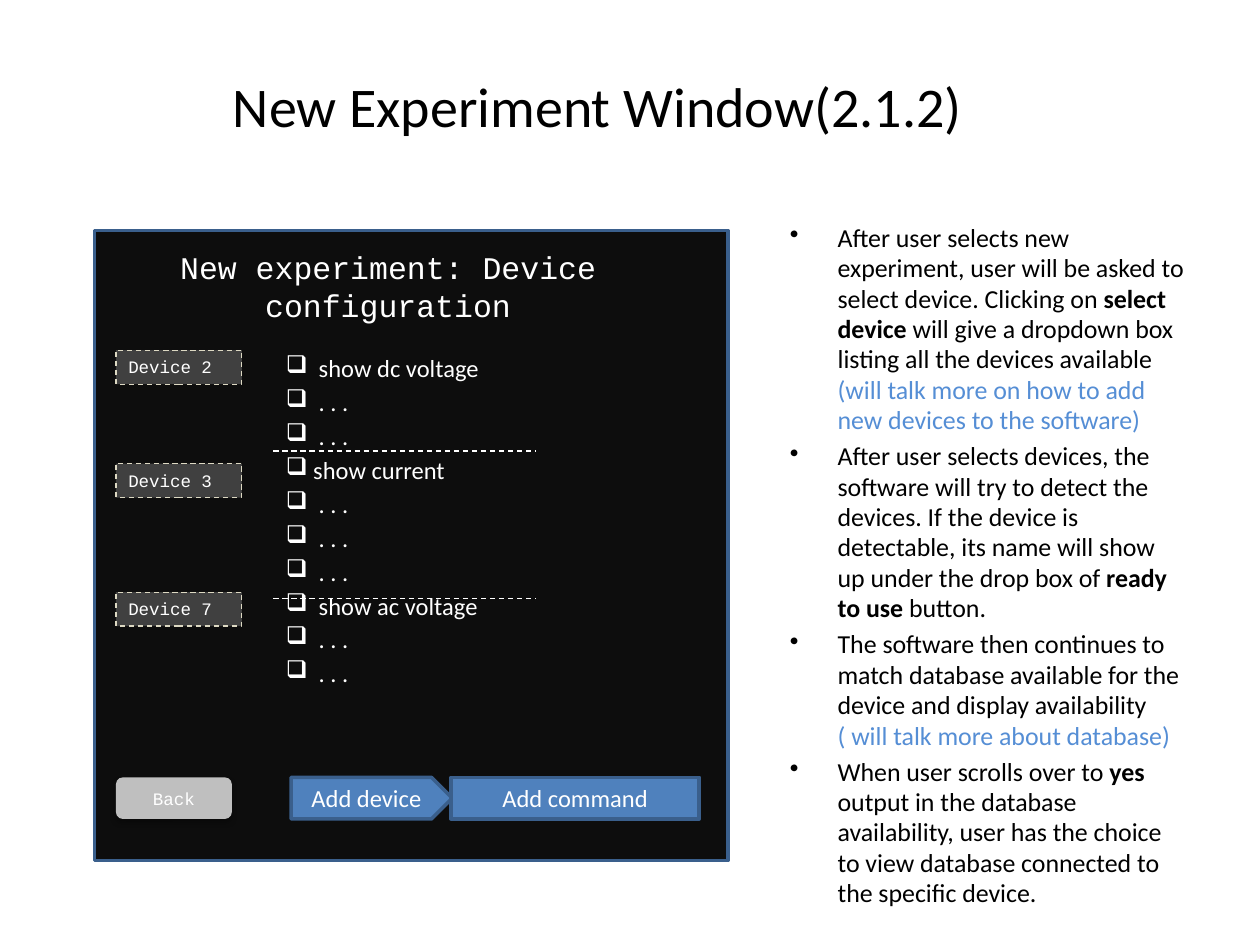
from pptx import Presentation
from pptx.dml.color import RGBColor
from pptx.enum.dml import MSO_LINE
from pptx.enum.shapes import MSO_CONNECTOR, MSO_SHAPE
from pptx.enum.text import MSO_ANCHOR, PP_ALIGN
from pptx.oxml import parse_xml
from pptx.oxml.ns import nsdecls
from pptx.util import Inches, Pt

COLORS = dict(black="000000", white="FFFFFF", screen="0D0D0D", edge="3A5F8C", device="404040",
              dash="DDD9C3", back="BFBFBF", button="4F81BD", aside="558ED5")
SANS, MONO = "Calibri", "Courier New"

TITLE = "New Experiment Window(2.1.2)"
HEADING = "New experiment: Device configuration"
NOTES = [
    [("After user selects new experiment, user will be asked to select device. Clicking on ", ""),
     ("select device ", "bold"),
     ("will give a dropdown box listing all the devices available ", ""),
     ("(will talk more on how to add new devices to the software) ", "aside")],
    [("After user selects devices, the software will try to detect the devices. If the device is "
      "detectable, its name will show up under the drop box of ", ""),
     ("ready to use ", "bold"),
     ("button.", "")],
    [("The software then continues to match database available for the device and display "
      "availability ", ""),
     ("( will talk more about database) ", "aside")],
    [("When user scrolls over to ", ""),
     ("yes", "bold"),
     (" output in the database availability, user has the choice to view database connected to "
      "the specific device. ", "")],
]
COMMANDS = ["  show dc voltage", "  . . . ", "  . . .   ",
            " show current ", "  . . .", "  . . .", "  . . . ",
            "  show ac voltage", "  . . .", "  . . ."]
DEVICES = [("Device 2", 2.78), ("Device 3", 3.68), ("Device 7", 4.7)]
DIVIDERS = [3.58, 4.75]
MARGIN, LIST_LEFT, DIVIDER_RIGHT = 0.92, 2.17, 4.25
BUTTON_TOP, BUTTON_HEIGHT = 6.17, 0.33
BUTTONS = [("Add device", MSO_SHAPE.PENTAGON, 2.31, 1.28),
           ("Add command", MSO_SHAPE.RECTANGLE, 3.58, 1.97)]

deck = Presentation()
deck.slide_width, deck.slide_height = Inches(10), Inches(7.5)
slide = deck.slides.add_slide(deck.slide_layouts[6])


def color(name):
    return RGBColor.from_string(COLORS[name])


def write(paragraph, text, size, font=SANS, ink="white", bold=False):
    run = paragraph.add_run()
    run.text = text
    run.font.size, run.font.name, run.font.bold = Pt(size), font, bold
    run.font.color.rgb = color(ink)


def frame_of(owner, anchor=MSO_ANCHOR.TOP):
    frame = owner.text_frame
    frame.word_wrap = True
    frame.vertical_anchor = anchor
    return frame


def text_area(box, anchor=MSO_ANCHOR.TOP):
    return frame_of(slide.shapes.add_textbox(*map(Inches, box)), anchor)


def outline(line, ink, width, dashed=False):
    line.color.rgb = color(ink)
    line.width = Pt(width)
    if dashed:
        line.dash_style = MSO_LINE.DASH


def panel(kind, box, fill):
    shape = slide.shapes.add_shape(kind, *map(Inches, box))
    shape.shadow.inherit = False
    shape.fill.solid()
    shape.fill.fore_color.rgb = color(fill)
    shape.line.fill.background()
    return shape


def label(shape, text, size, font, align=PP_ALIGN.CENTER, anchor=MSO_ANCHOR.MIDDLE):
    paragraph = frame_of(shape, anchor).paragraphs[0]
    paragraph.alignment = align
    write(paragraph, text, size, font)


def bulleted(frame, items, bullet, before, hang=0):
    for index, item in enumerate(items):
        paragraph = frame.add_paragraph() if index else frame.paragraphs[0]
        paragraph.space_before = Pt(before)
        props = paragraph._p.get_or_add_pPr()
        props.set("marL", str(Inches(hang)))
        props.set("indent", str(-Inches(hang)))
        props.append(parse_xml(f'<a:buChar {nsdecls("a")} char="{bullet}"/>'))
        yield paragraph, item


screen = panel(MSO_SHAPE.RECTANGLE, (0.75, 1.83, 5.03, 5), "screen")
outline(screen.line, "edge", 2)

title = text_area((1.75, 0.33, 7.25, 0.82), MSO_ANCHOR.BOTTOM)
write(title.paragraphs[0], TITLE, 32, ink="black")

notes = text_area((6.17, 1.72, 3.33, 5.12))
for paragraph, parts in bulleted(notes, NOTES, "\u2022", 3.2, 0.38):
    paragraph.line_spacing = 0.98
    for text, style in parts:
        write(paragraph, text, 14.8, ink="aside" if style == "aside" else "black",
              bold=style == "bold")

commands = text_area((LIST_LEFT, 2.75, 2.04, 3.03))
for paragraph, text in bulleted(commands, COMMANDS, "\u2751", 2.6):
    write(paragraph, text, 14)

heading = text_area((1.33, 1.92, 3.5, 0.71)).paragraphs[0]
heading.alignment = PP_ALIGN.CENTER
write(heading, HEADING, 18, MONO)

for name, top in DEVICES:
    device = panel(MSO_SHAPE.RECTANGLE, (MARGIN, top, 1, 0.27), "device")
    outline(device.line, "dash", 0.75, dashed=True)
    label(device, name, 10, MONO, PP_ALIGN.LEFT, MSO_ANCHOR.TOP)

back = panel(MSO_SHAPE.ROUNDED_RECTANGLE, (MARGIN, BUTTON_TOP, 0.92, BUTTON_HEIGHT), "back")
back._element.spPr.find("{*}effectLst").append(parse_xml(
    f'<a:outerShdw {nsdecls("a")} blurRad="{Pt(3.5)}" dist="{Pt(2.2)}" dir="5400000" '
    f'rotWithShape="0"><a:srgbClr val="{COLORS["black"]}"><a:alpha val="32000"/></a:srgbClr>'
    '</a:outerShdw>'))
label(back, "Back", 10, MONO)

for top in DIVIDERS:
    divider = slide.shapes.add_connector(
        MSO_CONNECTOR.STRAIGHT, *map(Inches, (LIST_LEFT, top, DIVIDER_RIGHT, top)))
    outline(divider.line, "white", 0.75, dashed=True)
    divider._element.spPr.append(parse_xml(f'<a:effectLst {nsdecls("a")}/>'))

for text, kind, left, width in BUTTONS:
    button = panel(kind, (left, BUTTON_TOP, width, BUTTON_HEIGHT), "button")
    outline(button.line, "edge", 2)
    label(button, text, 14, SANS)

deck.save("out.pptx")
